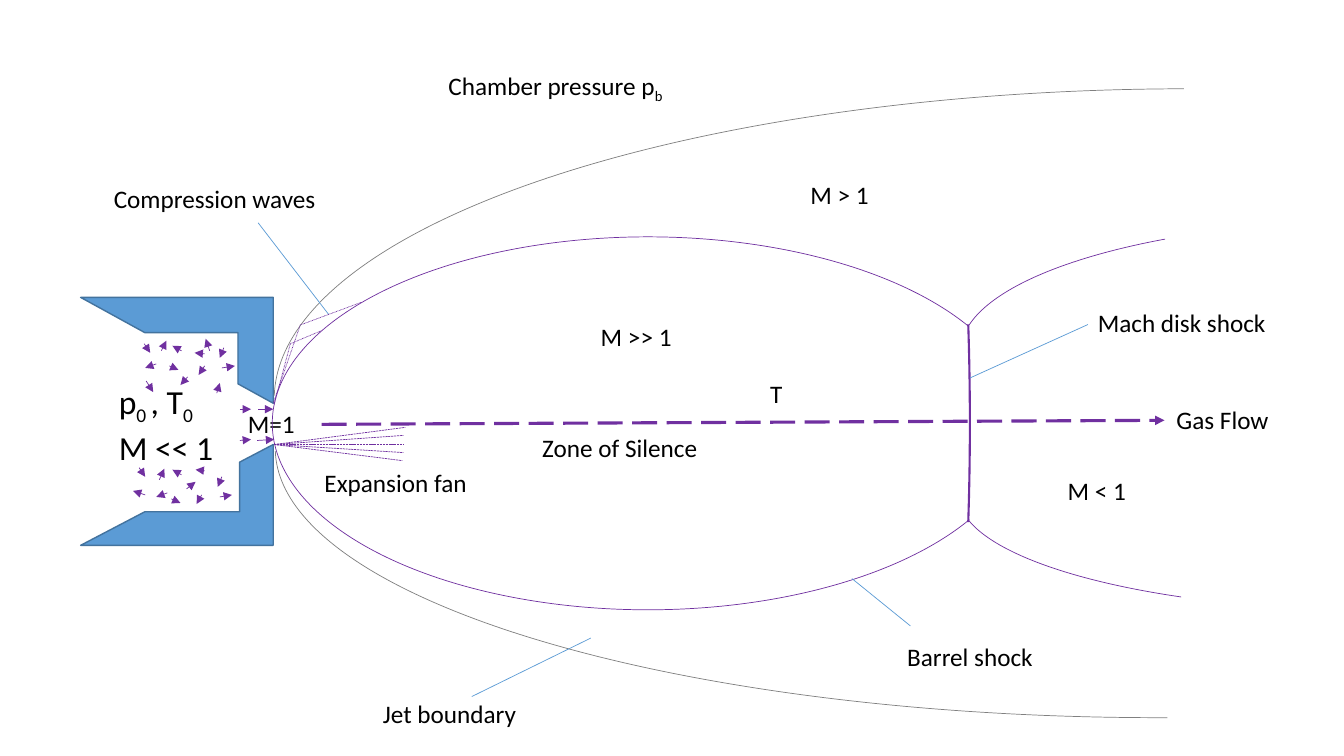
from lxml import etree
from pptx import Presentation
from pptx.dml.color import RGBColor
from pptx.enum.dml import MSO_LINE
from pptx.enum.shapes import MSO_CONNECTOR, MSO_SHAPE
from pptx.enum.text import MSO_ANCHOR, PP_ALIGN
from pptx.oxml.ns import qn
from pptx.util import Inches, Pt

ARC, HALF_FRAME, RECT = MSO_SHAPE.ARC, MSO_SHAPE.HALF_FRAME, MSO_SHAPE.RECTANGLE
LONG_DASH, DASH, DOT = MSO_LINE.LONG_DASH, MSO_LINE.SQUARE_DOT, MSO_LINE.ROUND_DOT
STRAIGHT, LEFT, MIDDLE = MSO_CONNECTOR.STRAIGHT, PP_ALIGN.LEFT, MSO_ANCHOR.MIDDLE

BLACK = RGBColor(0, 0, 0)
WHITE = RGBColor(255, 255, 255)
PURPLE = RGBColor(0x70, 0x30, 0xA0)
GRAY = RGBColor(0x80, 0x80, 0x80)
BLUE = RGBColor(0x5B, 0x9B, 0xD5)
NAVY = RGBColor(0x43, 0x73, 0x9E)

CHAMBER = [[("p", 0), ("0 ", 1), (", T", 0), ("0 ", 1)], [("M << 1", 0)]]
LABELS = [
    ("Gas Flow", 11.57, 3.96, 1.12),
    ("M > 1", 7.94, 1.73, 0.79),
    ("M >> 1", 5.86, 3.14, 0.91),
    ("M < 1", 10.49, 4.67, 0.79),
    ("T", 7.54, 3.7, 0.32),
    ("Zone of Silence", 5.28, 4.24, 1.76),
    ("Compression waves", 1.03, 1.77, 2.22),
    ("Jet boundary", 3.7, 6.88, 1.54),
    ("Mach disk shock", 10.79, 3, 1.88),
    ("Barrel shock", 8.9, 6.31, 1.46),
    ("Expansion fan", 3.12, 4.59, 1.63),
]
NOZZLE = [((0.8, 4.41, 1.91, 1), None), ((0.8, 2.95, 1.91, 1.05), "flipV")]
ARCS = [
    ((2.7, 2.35, 7.45, 3.7), 180, "flipV", (196.77, 163.3), PURPLE, 0.5),
    ((8.95, 1, 0.67, 6.4), 0, None, (288, 71.98), PURPLE, 1.5),
    ((12.39, -0.67, 2.58, 8.3), 270, None, (273.61, 297.55), PURPLE, 0.5),
    ((12.51, 0.76, 2.29, 8.3), 270, "flipH", (273.61, 297.55), PURPLE, 0.5),
    ((8.82, -4.31, 5.34, 17.52), 270, "flipH", (270.17, 1.9), GRAY, 0.5),
    ((8.72, -5.12, 6.16, 18.16), 270, None, (270.22, 358.91), GRAY, 0.5),
]
LEADERS = [
    (4.68, 6.91, 5.86, 6.33), (9.62, 3.75, 10.79, 3.22),
    (3.26, 3.12, 2.56, 2.21), (8.45, 5.74, 9.03, 6.21),
]
COMPRESSION_WAVES = [
    (2.72, 4.01, 2.88, 3.41), (2.71, 4, 2.98, 3.22),
    (2.99, 3.22, 3.58, 3), (2.88, 3.41, 3.19, 3.28),
]
FAN_ORIGIN = (2.72, 4.41)
FAN_ENDS = [(4.02, 4.24), (4, 4.32), (4, 4.41), (4, 4.49), (3.99, 4.57)]
GAS_FLOW = (3.19, 4.21, 11.55, 4.17)
MOLECULES = [
    (1.44, 4.91, 1.32, 4.87), (1.85, 4.85, 1.94, 4.78), (1.66, 4.89, 1.55, 4.93),
    (2.08, 3.48, 2.04, 3.36), (1.8, 4.71, 1.71, 4.66), (2, 4.91, 1.95, 5),
    (1.7, 4.95, 1.79, 4.99), (1.38, 4.64, 1.44, 4.73), (1.58, 4.76, 1.63, 4.65),
    (2.18, 4.93, 2.3, 4.91), (2.2, 4.73, 2.16, 4.83), (2.03, 4.67, 1.94, 4.66),
    (1.55, 3.61, 1.44, 3.65), (1.8, 3.48, 1.71, 3.43), (2.03, 3.63, 1.97, 3.72),
    (1.68, 3.63, 1.77, 3.67), (1.43, 3.41, 1.49, 3.5), (1.6, 3.48, 1.65, 3.38),
    (2.2, 3.65, 2.33, 3.63), (2.22, 3.45, 2.18, 3.55), (2.03, 3.51, 1.93, 3.5),
    (2.15, 3.9, 2.18, 3.8), (1.86, 3.74, 1.79, 3.82), (1.45, 3.78, 1.52, 3.89),
    (2.38, 4.06, 2.49, 4.06), (2.56, 4.06, 2.71, 4.06),
    (2.38, 4.37, 2.49, 4.36), (2.55, 4.37, 2.72, 4.36),
]

prs = Presentation()
prs.slide_width, prs.slide_height = Inches(13.33), Inches(7.5)
s = prs.slides.add_slide(prs.slide_layouts[6])


def add_shape(kind, box, fill=None, line=None, width=1, rotation=0, flip=None):
    sp = s.shapes.add_shape(kind, *map(Inches, box))
    sp.shadow.inherit = False
    sp.rotation = rotation
    if flip:
        sp._element.spPr.find(qn("a:xfrm")).set(flip, "1")
    if fill is None:
        sp.fill.background()
    else:
        sp.fill.solid()
        sp.fill.fore_color.rgb = fill
    if line is None:
        sp.line.fill.background()
    else:
        sp.line.color.rgb = line
        sp.line.width = Pt(width)
    return sp


def add_line(ends, color, width=0.5, dash=None, arrow=False):
    c = s.shapes.add_connector(STRAIGHT, *map(Inches, ends))
    c.line.color.rgb = color
    c.line.width = Pt(width)
    if dash is not None:
        c.line.dash_style = dash
    if arrow:
        etree.SubElement(c.line._get_or_add_ln(), qn("a:tailEnd"), type="triangle")
    etree.SubElement(c._element.spPr, qn("a:effectLst"))


def write(sp, paragraphs, size, wrap):
    tf = sp.text_frame
    tf.word_wrap = wrap
    tf.vertical_anchor = MIDDLE
    for i, runs in enumerate(paragraphs):
        p = tf.add_paragraph() if i else tf.paragraphs[0]
        p.alignment = LEFT
        p.font.name, p.font.size = "Calibri", Pt(size)
        p.font.color.rgb = BLACK
        for text, subscript in runs:
            r = p.add_run()
            r.text = text
            if subscript:
                r._r.get_or_add_rPr().set("baseline", "-25000")


def add_label(runs, x, y, w):
    write(s.shapes.add_textbox(*map(Inches, (x, y, w, 0.4))), [runs], 18, False)


write(add_shape(RECT, (1.08, 3.75, 1.33, 0.91), line=WHITE, width=0.75), CHAMBER, 24, True)
write(add_shape(RECT, (2.36, 4, 0.83, 0.4), fill=WHITE), [[("M=1", 0)]], 18, True)

for box, flip in NOZZLE:
    add_shape(HALF_FRAME, box, BLUE, NAVY, 1, 180, flip)

for box, rotation, flip, angles, color, width in ARCS:
    arc = add_shape(ARC, box, None, color, width, rotation, flip)
    for i, angle in enumerate(angles):
        arc.adjustments[i] = angle * 0.6

add_line(GAS_FLOW, PURPLE, 2.25, LONG_DASH, True)
for ends in LEADERS:
    add_line(ends, BLUE)
for ends in COMPRESSION_WAVES:
    add_line(ends, PURPLE, dash=DOT)
for end in FAN_ENDS:
    add_line(FAN_ORIGIN + end, PURPLE, dash=DASH)
for ends in MOLECULES:
    add_line(ends, PURPLE, arrow=True)

for text, x, y, w in LABELS:
    add_label([(text, 0)], x, y, w)
add_label([("Chamber pressure p", 0), ("b", 1)], 4.35, 0.67, 2.36)

prs.save("out.pptx")
